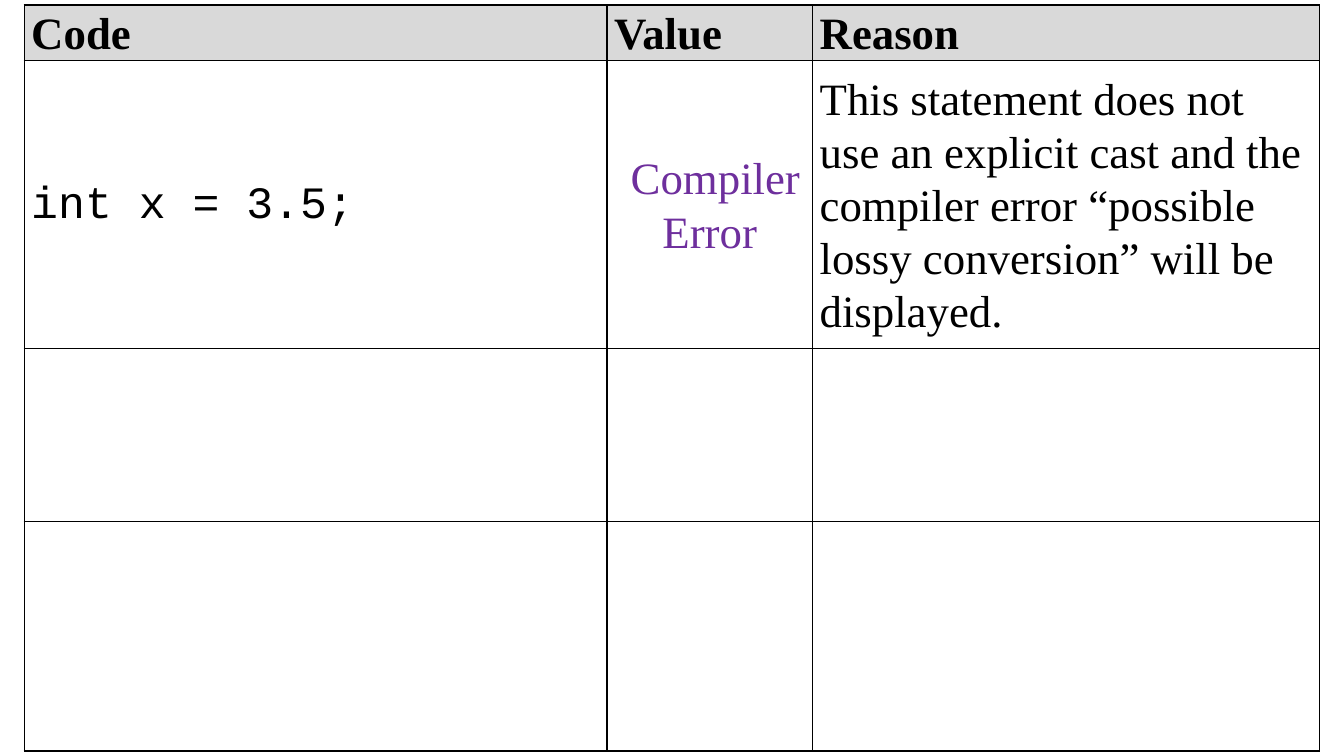
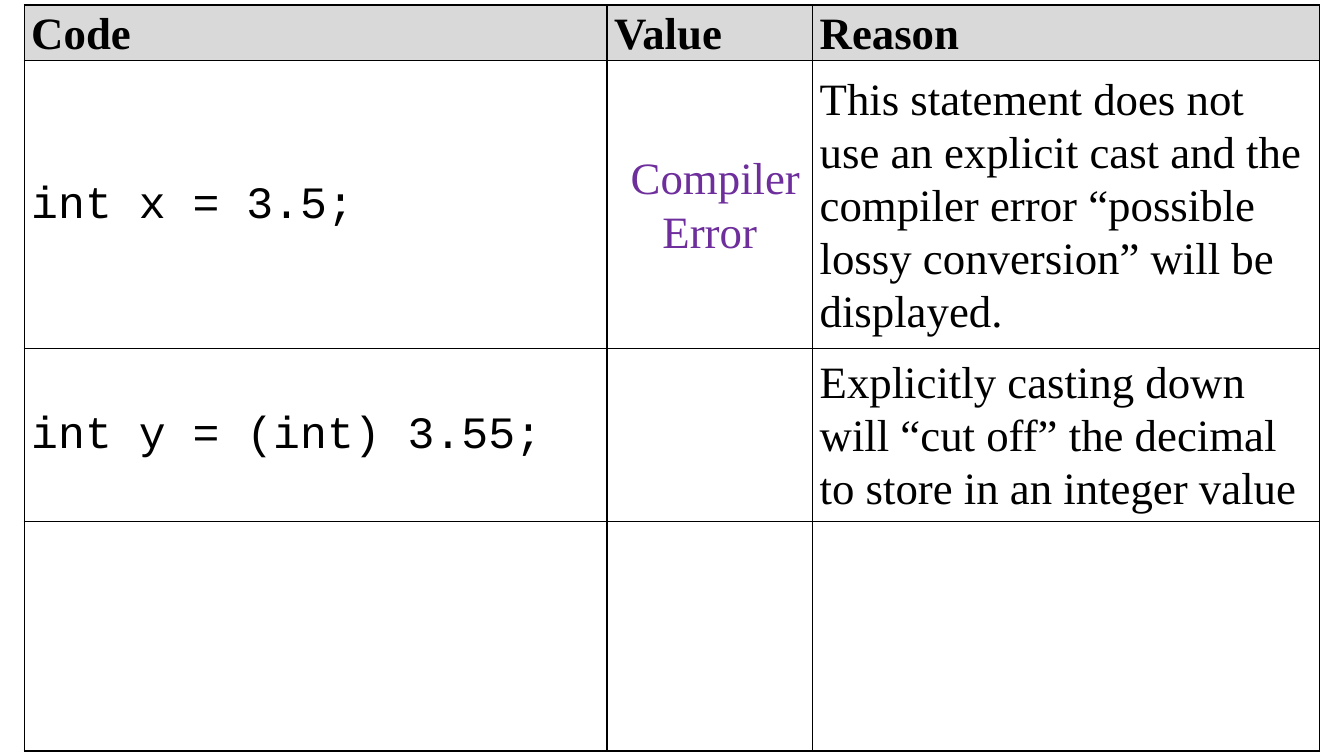
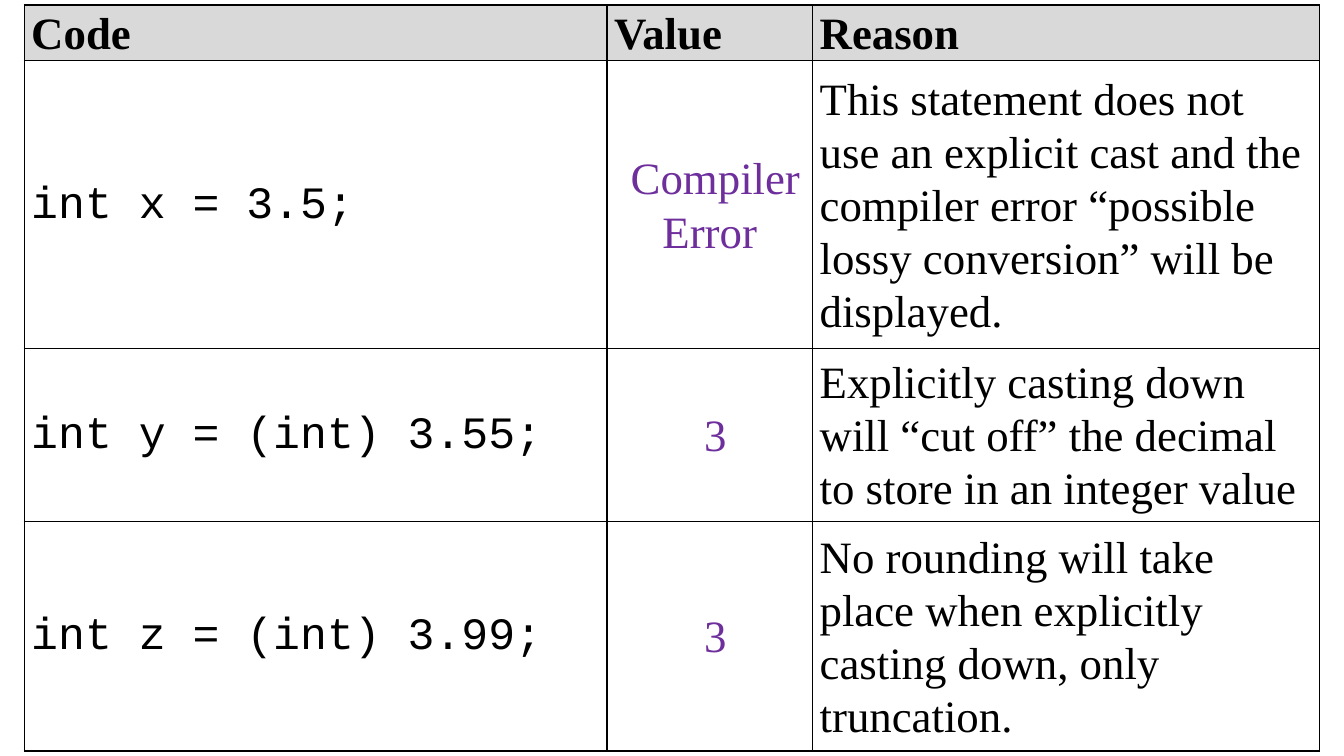
from lxml import etree
from pptx import Presentation
from pptx.dml.color import RGBColor
from pptx.enum.text import MSO_ANCHOR, PP_ALIGN
from pptx.oxml.ns import qn
from pptx.util import Inches, Pt

LEFT, CENTER = PP_ALIGN.LEFT, PP_ALIGN.CENTER
MIDDLE = MSO_ANCHOR.MIDDLE

BLACK = RGBColor(0x00, 0x00, 0x00)
WHITE = RGBColor(0xFF, 0xFF, 0xFF)
GRAY = RGBColor(0xD9, 0xD9, 0xD9)
PURPLE = RGBColor(0x6E, 0x2F, 0x9D)
SERIF, MONO = "Times New Roman", "Courier New"

HEADERS = ("Code", "Value", "Reason")
EXAMPLES = [
    ("int x = 3.5;", " Compiler Error",
     "This statement does not use an explicit cast and the compiler error "
     "“possible lossy conversion” will be displayed."),
    ("int y = (int) 3.55;", " 3",
     "Explicitly casting down will “cut off” the decimal to store in an "
     "integer value"),
    ("int z = (int) 3.99;", " 3",
     "No rounding will take place when explicitly casting down, only "
     "truncation."),
]
# Columns revealed in each example row, slide by slide
ALL, NONE = HEADERS, ()
REVEALS = [
    (ALL, NONE, NONE),
    (ALL, ("Code", "Reason"), NONE),
    (ALL, ALL, ALL),
]

COLUMN_STYLES = (
    {"font": MONO},
    {"color": PURPLE, "align": CENTER},
    {},
)
TABLE_LEFT, TABLE_TOP = Inches(0.24), Inches(0.05)
COLUMN_WIDTHS = [Inches(w) for w in (5.78, 2.04, 5.03)]
ROW_HEIGHTS = [Inches(h) for h in (0.55, 2.86, 1.71, 2.28)]


def write(cell, text, font=SERIF, size=32, color=BLACK, bold=False, align=LEFT):
    p = cell.text_frame.paragraphs[0]
    p.alignment = align
    p.line_spacing = 1.07
    r = p.add_run()
    r.text = text
    r.font.name = font
    r.font.size = Pt(size)
    r.font.bold = bold
    r.font.color.rgb = color


def add_borders(cell, color=BLACK, width=Pt(1)):
    tc_pr = cell._tc.get_or_add_tcPr()
    for side in ("a:lnL", "a:lnR", "a:lnT", "a:lnB"):
        line = etree.SubElement(tc_pr, qn(side), w=str(int(width)))
        fill = etree.SubElement(line, qn("a:solidFill"))
        etree.SubElement(fill, qn("a:srgbClr"), val=str(color))


def format_cell(cell, fill):
    cell.margin_left = cell.margin_right = Inches(0.07)
    cell.margin_top = cell.margin_bottom = 0
    cell.vertical_anchor = MIDDLE
    add_borders(cell)
    cell.fill.solid()
    cell.fill.fore_color.rgb = fill


def add_casting_table(slide, reveals):
    table = slide.shapes.add_table(
        len(ROW_HEIGHTS), len(COLUMN_WIDTHS), TABLE_LEFT, TABLE_TOP,
        sum(COLUMN_WIDTHS), sum(ROW_HEIGHTS)).table
    for column, width in zip(table.columns, COLUMN_WIDTHS):
        column.width = width
    for row, height in zip(table.rows, ROW_HEIGHTS):
        row.height = height

    for c, header in enumerate(HEADERS):
        format_cell(table.cell(0, c), GRAY)
        write(table.cell(0, c), header, bold=True)
        for r, (example, shown) in enumerate(zip(EXAMPLES, reveals), 1):
            cell = table.cell(r, c)
            format_cell(cell, WHITE)
            if header in shown:
                write(cell, example[c], **COLUMN_STYLES[c])


def main():
    prs = Presentation()
    prs.slide_width, prs.slide_height = Inches(13.33), Inches(7.5)
    blank = prs.slide_layouts[6]
    for reveals in REVEALS:
        add_casting_table(prs.slides.add_slide(blank), reveals)
    prs.save("out.pptx")


if __name__ == "__main__":
    main()
